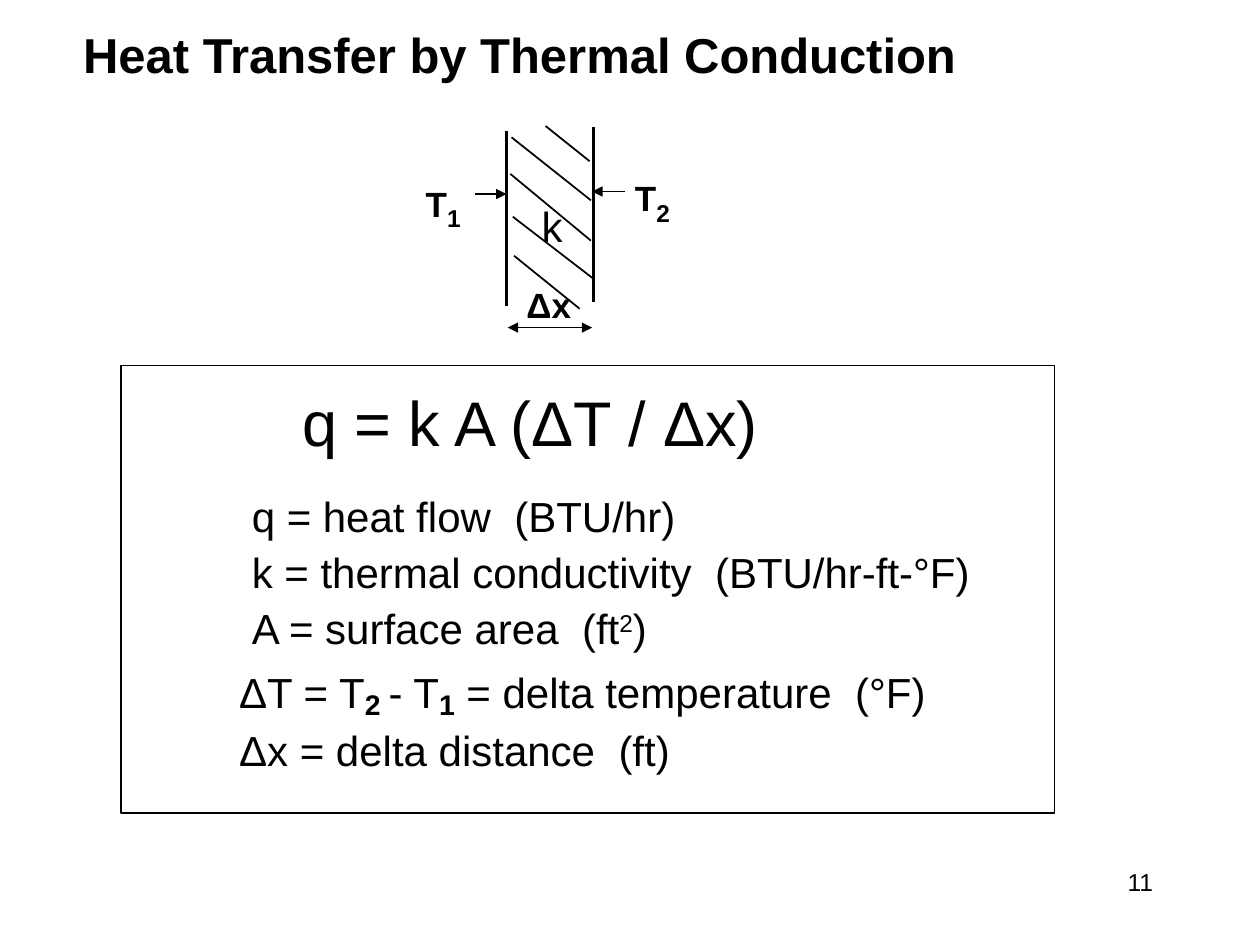
from typing import NamedTuple

from lxml.etree import SubElement
from pptx import Presentation
from pptx.dml.color import RGBColor
from pptx.enum.shapes import MSO_CONNECTOR, MSO_SHAPE
from pptx.enum.text import MSO_ANCHOR, MSO_AUTO_SIZE, PP_ALIGN
from pptx.oxml.ns import qn
from pptx.util import Inches, Pt

COLORS = {"ink": "000000", "paper": "FFFFFF"}
FONT = "Arial"


class Run(NamedTuple):
    text: str
    size: float = 24
    bold: bool = False
    baseline: int = 0  # percent of the text size
    spacing: float = 0  # extra points after each character


class Line(NamedTuple):
    start: tuple[float, float]
    end: tuple[float, float]
    width: float = 1
    head: bool = False
    tail: bool = False


class Label(NamedTuple):
    box: tuple[float, float, float, float]
    runs: list[Run]
    align: PP_ALIGN = PP_ALIGN.LEFT


class Definition(NamedTuple):
    indent: float
    runs: list[Run]
    space_before: float = 9


def color(name: str) -> RGBColor:
    return RGBColor.from_string(COLORS[name])


def write_text(paragraph, runs: list[Run], *, align=PP_ALIGN.LEFT,
               line_spacing: float = 1, space_before: float = 0,
               indent: float = 0) -> None:
    properties = paragraph._p.get_or_add_pPr()
    properties.set("marL", str(Inches(indent)))
    properties.set("indent", "0")
    paragraph.alignment = align
    paragraph.line_spacing = line_spacing
    paragraph.space_before = Pt(space_before)
    for part in runs:
        run = paragraph.add_run()
        run.text = part.text
        run.font.name = FONT
        run.font.size = Pt(part.size)
        run.font.bold = part.bold
        run.font.color.rgb = color("ink")
        run_properties = run._r.get_or_add_rPr()
        if part.baseline:
            run_properties.set("baseline", str(part.baseline * 1000))
        if part.spacing:
            run_properties.set("spc", str(round(part.spacing * 100)))


def add_text_frame(slide, box: tuple[float, float, float, float]):
    frame = slide.shapes.add_textbox(*map(Inches, box)).text_frame
    frame.word_wrap = True
    return frame


def add_label(slide, label: Label) -> None:
    frame = add_text_frame(slide, label.box)
    write_text(frame.paragraphs[0], label.runs, align=label.align)


def add_line(slide, line: Line) -> None:
    connector = slide.shapes.add_connector(
        MSO_CONNECTOR.STRAIGHT, *map(Inches, line.start + line.end))
    connector.line.color.rgb = color("ink")
    connector.line.width = Pt(line.width)
    outline = connector.line._get_or_add_ln()
    for tag, wanted in (("a:headEnd", line.head), ("a:tailEnd", line.tail)):
        if wanted:
            SubElement(outline, qn(tag), type="triangle")
    SubElement(connector._element.spPr, qn("a:effectLst"))


def temperature(index: str) -> list[Run]:
    return [Run("T", 20, True), Run(index, 24, True, -25)]


WALL_FACES = [
    Line((4.02, 1.04), (4.02, 2.43), 1.5),
    Line((4.71, 1.01), (4.71, 2.4), 1.5),
]
HATCHING = [
    Line((4.06, 1.09), (4.69, 1.59)),
    Line((4.05, 1.38), (4.69, 1.91)),
    Line((4.07, 1.72), (4.72, 2.22)),
    Line((4.08, 2.03), (4.6, 2.45)),
    Line((4.33, 1), (4.68, 1.28)),
]
ARROWS = [
    Line((4.03, 2.6), (4.7, 2.6), head=True, tail=True),
    Line((4.96, 1.52), (4.7, 1.52), tail=True),
    Line((3.77, 1.54), (4.02, 1.54), tail=True),
]
LABELS = [
    Label((4.2, 1.54, 0.39, 0.5), [Run("k")]),
    Label((4.08, 2.2, 0.63, 0.44), [Run("Δx", 20, True)]),
    Label((4.94, 1.3, 0.58, 0.56), temperature("2")),
    Label((3.28, 1.34, 0.56, 0.56), temperature("1")),
    Label((7.17, 6.83, 2.08, 0.5), [Run("11", 14)], PP_ALIGN.RIGHT),
]

# Definitions: single symbols stand slightly further in than the deltas
SYMBOL_INDENT, DELTA_INDENT = 0.8, 0.7
UNIT_GAP = Run(" ", spacing=6.67)
DEFINITIONS = [
    Definition(SYMBOL_INDENT, [Run("q = heat flow"), UNIT_GAP, Run("(BTU/hr)")], 24),
    Definition(SYMBOL_INDENT, [Run("k = thermal conductivity"), UNIT_GAP,
                               Run("(BTU/hr-ft-°F)")]),
    Definition(SYMBOL_INDENT, [Run("A = surface area"), UNIT_GAP, Run("(ft"),
                               Run("2", baseline=30), Run(")")]),
    Definition(DELTA_INDENT, [Run("ΔT = T"), Run("2 ", 28, True, -14), Run("- T"),
                              Run("1", 28, True, -14), Run(" = delta temperature"),
                              UNIT_GAP, Run("(°F)")]),
    Definition(DELTA_INDENT, [Run("Δx = delta distance"), UNIT_GAP, Run("(ft)")]),
]


def add_title(slide) -> None:
    title = slide.shapes.title
    title.left, title.top = Inches(0.56), Inches(0.12)
    title.width, title.height = Inches(8.77), Inches(0.68)
    frame = title.text_frame
    frame.auto_size = MSO_AUTO_SIZE.NONE
    frame.vertical_anchor = MSO_ANCHOR.MIDDLE
    write_text(frame.paragraphs[0],
               [Run("Heat Transfer by Thermal Conduction", 28, True)],
               line_spacing=0.9)


def add_equation_panel(slide) -> None:
    panel = slide.shapes.add_shape(
        MSO_SHAPE.RECTANGLE, *map(Inches, (0.96, 2.9, 7.41, 3.55)))
    panel.shadow.inherit = False
    panel.fill.solid()
    panel.fill.fore_color.rgb = color("paper")
    panel.line.color.rgb = color("ink")
    panel.line.width = Pt(1)

    frame = add_text_frame(slide, (1.1, 3.11, 7.24, 3.7))
    write_text(frame.paragraphs[0], [Run("q = k A (ΔT / Δx)", 36)],
               line_spacing=0.8, indent=1.2)
    for definition in DEFINITIONS:
        write_text(frame.add_paragraph(), definition.runs, line_spacing=0.8,
                   space_before=definition.space_before, indent=definition.indent)


def main() -> None:
    presentation = Presentation()
    presentation.slide_width, presentation.slide_height = Inches(10), Inches(7.5)
    slide = presentation.slides.add_slide(presentation.slide_layouts[5])

    add_title(slide)
    add_equation_panel(slide)
    # Wall cross-section and its labels
    for line in WALL_FACES + HATCHING + ARROWS:
        add_line(slide, line)
    for label in LABELS:
        add_label(slide, label)

    presentation.save("out.pptx")


if __name__ == "__main__":
    main()
